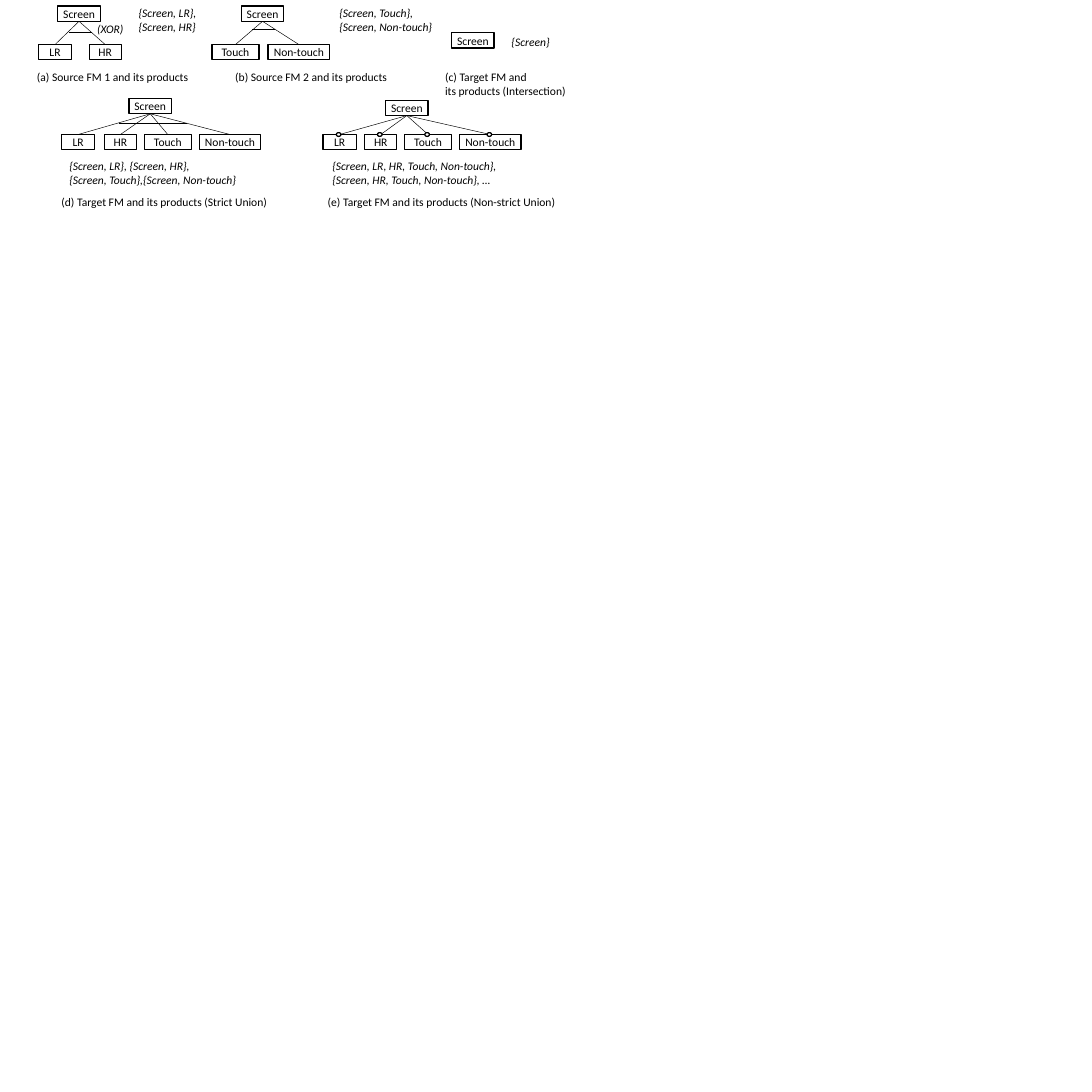
from lxml import etree
from pptx import Presentation
from pptx.dml.color import RGBColor
from pptx.enum.shapes import MSO_CONNECTOR, MSO_SHAPE
from pptx.enum.text import MSO_ANCHOR, MSO_AUTO_SIZE, PP_ALIGN
from pptx.oxml.ns import qn
from pptx.util import Pt

RECT, OVAL = MSO_SHAPE.RECTANGLE, MSO_SHAPE.OVAL
LINE = MSO_CONNECTOR.STRAIGHT
MIDDLE, CENTER = MSO_ANCHOR.MIDDLE, PP_ALIGN.CENTER
GROW = MSO_AUTO_SIZE.SHAPE_TO_FIT_TEXT

SIDE = 1700.64
BLACK, WHITE = "000000", "FFFFFF"
FONT, SIZE = "Calibri", 18
BOX_H = 23.8
WIDTHS = {"Screen": 66.2, "LR": 51.8, "HR": 49.7, "Touch": 73.4, "Non-touch": 95.8}
DOT_W, DOT_H = 7.2, 5.8


def color(code):
    return RGBColor.from_string(code)


def write(para, text, italic=False):
    run = para.add_run()
    run.text = text
    run.font.name = FONT
    run.font.size = Pt(SIZE)
    run.font.italic = italic
    run.font.color.rgb = color(BLACK)


def add_form(slide, kind, x, y, w, h):
    form = slide.shapes.add_shape(kind, Pt(x), Pt(y), Pt(w), Pt(h))
    form.shadow.inherit = False
    form.fill.solid()
    form.fill.fore_color.rgb = color(WHITE)
    form.line.color.rgb = color(BLACK)
    form.line.width = Pt(2)
    return form


def add_node(slide, name, x, y):
    """Draw a feature box and return the x of its centre."""
    frame = add_form(slide, RECT, x, y, WIDTHS[name], BOX_H).text_frame
    frame.vertical_anchor = MIDDLE
    para = frame.paragraphs[0]
    para.alignment = CENTER
    write(para, name)
    return x + WIDTHS[name] / 2


def add_line(slide, x1, y1, x2, y2, width=0.75):
    line = slide.shapes.add_connector(LINE, Pt(x1), Pt(y1), Pt(x2), Pt(y2))
    line.line.color.rgb = color(BLACK)
    line.line.width = Pt(width)
    etree.SubElement(line._element.spPr, qn("a:effectLst"))


def add_label(slide, x, y, w, lines, italic=False, wrap=False):
    height = 28.8 if len(lines) == 1 else 51.1
    frame = slide.shapes.add_textbox(Pt(x), Pt(y), Pt(w), Pt(height)).text_frame
    frame.word_wrap = wrap
    frame.auto_size = GROW
    for i, text in enumerate(lines):
        para = frame.add_paragraph() if i else frame.paragraphs[0]
        write(para, text, italic)


def add_tree(slide, x, y, root, drop=0, leaves=(), arc=None, dots=False):
    """Draw a feature model; all offsets are from the panel corner (x, y)."""
    top = add_node(slide, "Screen", x + root, y)
    mids = [add_node(slide, name, x + dx, y + drop) for name, dx in leaves]
    for mid in mids:
        add_line(slide, top, y + BOX_H, mid, y + drop)
    # Bar across the branches marks an exclusive choice
    if arc:
        left, right, down = arc
        add_line(slide, x + left, y + down, x + right, y + down, 1)
    # Circles mark optional features
    if dots:
        for mid in mids:
            add_form(slide, OVAL, mid - 1.5 - DOT_W / 2, y + drop - DOT_H / 2,
                     DOT_W, DOT_H)


def add_panel(slide, x, y, tree, sets, caption):
    """Draw a model, its product sets and its caption in one panel."""
    add_tree(slide, x, y, **tree)
    dx, dy, width, lines, wrap = sets
    add_label(slide, x + dx, y + dy, width, lines, True, wrap)
    dx, dy, width, lines = caption
    add_label(slide, x + dx, y + dy, width, lines)


def source_one(slide, x, y):
    add_panel(slide, x, y,
              dict(root=40, drop=60, leaves=[("LR", 9.8), ("HR", 89)],
                   arc=(57.3, 93.3, 40.7)),
              (158.8, -3.2, 108.7, ["{Screen, LR},", "{Screen, HR}"], False),
              (0.4, 96.1, 253.4, ["(a) Source FM 1 and its products"]))
    add_label(slide, x + 94, y + 22, 56.2, ["(XOR)"], True)


def source_two(slide, x, y):
    add_panel(slide, x, y,
              dict(root=45.8, drop=60, leaves=[("Touch", 0), ("Non-touch", 87.6)],
                   arc=(62.4, 98.4, 36.8)),
              (191.3, -3.2, 170.6, ["{Screen, Touch},", "{Screen, Non-touch}"], False),
              (29.3, 96.1, 254.2, ["(b) Source FM 2 and its products"]))


def shared(slide, x, y):
    add_panel(slide, x, y, dict(root=17.4),
              (103.5, 0, 89, ["{Screen}"], True),
              (0, 54, 204.5, ["(c) Target FM and", "its products (Intersection)"]))


def strict(slide, x, y):
    leaves = [("LR", 7.8), ("HR", 74.7), ("Touch", 136.6), ("Non-touch", 222.3)]
    add_panel(slide, x, y,
              dict(root=112.9, drop=56.1, leaves=leaves, arc=(97, 202.9, 39.2)),
              (12.8, 90.7, 296.6, ["{Screen, LR}, {Screen, HR},",
                                   "{Screen, Touch},{Screen, Non-touch}"], True),
              (0.6, 146.8, 338.4, ["(d) Target FM and its products (Strict Union)"]))


def loose(slide, x, y):
    leaves = [("LR", 0), ("HR", 65.1), ("Touch", 127), ("Non-touch", 212.7)]
    add_panel(slide, x, y,
              dict(root=97.5, drop=53.3, leaves=leaves, dots=True),
              (7.5, 87.9, 296.6, ["{Screen, LR, HR, Touch, Non-touch}, "
                                  "{Screen, HR, Touch, Non-touch}, …"], True),
              (0.3, 144, 373, ["(e) Target FM and its products (Non-strict Union)"]))


def main():
    deck = Presentation()
    deck.slide_width = deck.slide_height = Pt(SIDE)
    slide = deck.slides.add_slide(deck.slide_layouts[6])
    # Top row: the two sources and their intersection
    source_one(slide, 50, 9.4)
    source_two(slide, 330, 9.4)
    shared(slide, 686, 51.1)
    # Bottom row: the two unions
    strict(slide, 88, 153.4)
    loose(slide, 503, 156.2)
    deck.save("out.pptx")


if __name__ == "__main__":
    main()
